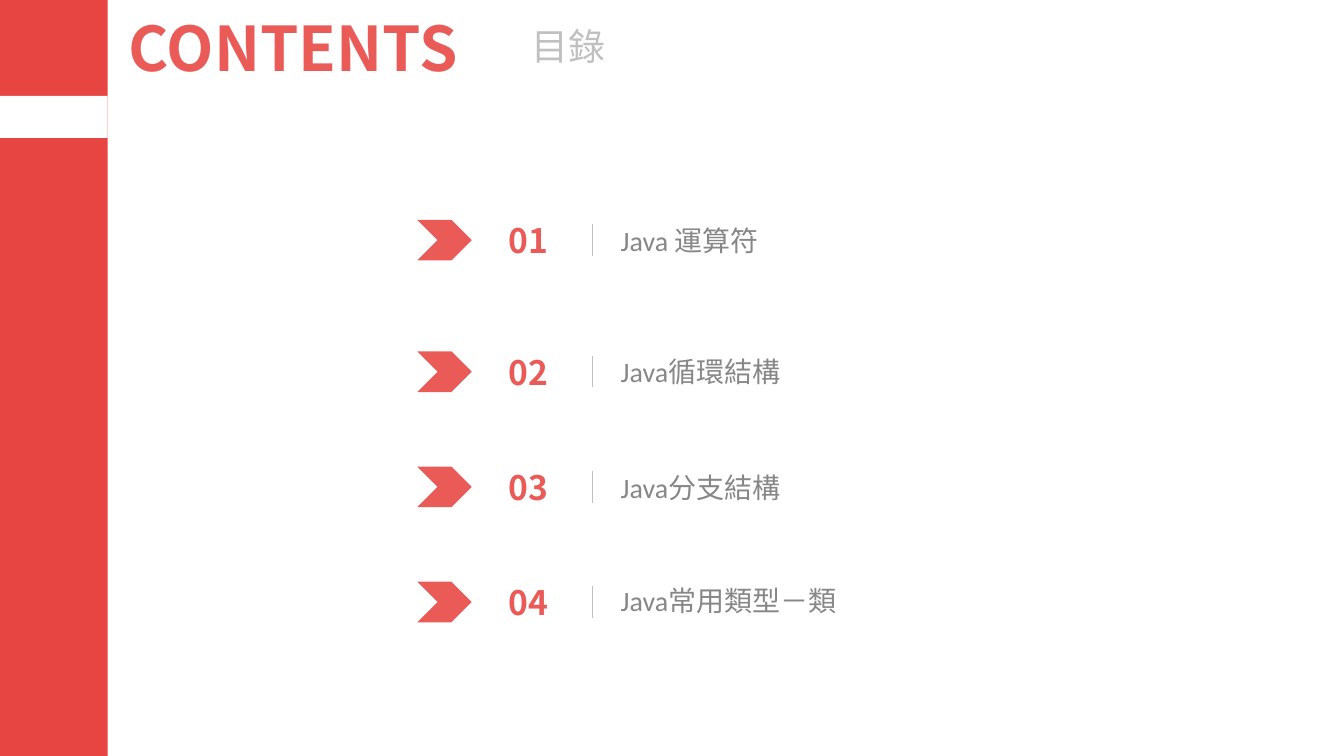
from lxml.etree import SubElement
from pptx import Presentation
from pptx.dml.color import RGBColor
from pptx.enum.shapes import MSO_CONNECTOR as Connector, MSO_SHAPE as Shape
from pptx.enum.text import MSO_ANCHOR as Anchor, PP_ALIGN as Align
from pptx.oxml.ns import qn
from pptx.util import Pt

COLORS = {"band": "E74541", "accent": "EA5B58", "white": "FFFFFF",
          "light": "C0C0C0", "body": "878787"}
CJK_FONT = "Noto Sans CJK SC"
TITLE = {"size": Pt(44), "bold": True, "name": CJK_FONT}
SUBTITLE = {"size": Pt(26.4), "name": CJK_FONT}
NUMBER = {"size": Pt(24), "bold": True, "name": CJK_FONT}
TOPIC = {"size": Pt(20), "name": "Calibri"}
TOPICS = [("Java 運算符", 1), ("Java循環結構", 1),
          ("Java分支結構", 1), ("Java常用類型－類", 0.9)]
FIRST_CENTER, SECOND_CENTER, ROW_STEP = 171.5, 265.5, 82.25
ROW_HEIGHT, CHEVRON_HEIGHT, DIVIDER_HEIGHT = 57, 29, 22.6


def color(key):
    """Return the named colour."""
    return RGBColor.from_string(COLORS[key])


def add_block(slide, kind, box, fill):
    """Add a plain filled shape."""
    shape = slide.shapes.add_shape(kind, *map(Pt, box))
    shape.shadow.inherit = False
    shape.fill.solid()
    shape.fill.fore_color.rgb = color(fill)
    shape.line.fill.background()
    return shape


def add_text(slide, text, box, font_format, ink, align=Align.LEFT, spacing=1):
    """Add one line of vertically centred text."""
    frame = slide.shapes.add_textbox(*map(Pt, box)).text_frame
    frame.word_wrap = True
    frame.vertical_anchor = Anchor.MIDDLE
    paragraph = frame.paragraphs[0]
    paragraph.alignment = align
    paragraph.line_spacing = spacing
    run = paragraph.add_run()
    run.text = text
    for name, value in font_format.items():
        setattr(run.font, name, value)
    run.font.color.rgb = color(ink)
    SubElement(run.font._element, qn("a:ea"), typeface=CJK_FONT)


def add_divider(slide, x, top, bottom):
    """Add a thin vertical line."""
    line = slide.shapes.add_connector(
        Connector.STRAIGHT, Pt(x), Pt(top), Pt(x), Pt(bottom))
    line.line.color.rgb = color("light")
    line.line.width = Pt(0.5)
    SubElement(line._element.spPr, qn("a:effectLst"))


def add_topic(slide, number, topic, center, spacing):
    """Add one row of the contents list."""
    top = center - ROW_HEIGHT / 2
    add_text(slide, f"{number:02}", (337, top, 80.6, ROW_HEIGHT),
             NUMBER, "accent", Align.CENTER)
    add_divider(slide, 423.2, center - DIVIDER_HEIGHT / 2, center + DIVIDER_HEIGHT / 2)
    add_text(slide, topic, (436.3, top, 421, ROW_HEIGHT), TOPIC, "body", spacing=spacing)
    add_block(slide, Shape.CHEVRON,
              (298.1, center - CHEVRON_HEIGHT / 2, 38.9, CHEVRON_HEIGHT), "accent")


def main():
    """Build and save the contents slide."""
    presentation = Presentation()
    presentation.slide_width, presentation.slide_height = Pt(960), Pt(540)
    slide = presentation.slides.add_slide(presentation.slide_layouts[6])
    add_block(slide, Shape.RECTANGLE, (0, 0, 77, 540), "band")
    add_block(slide, Shape.RECTANGLE, (0, 68.4, 77, 30.2), "white")
    add_text(slide, "CONTENTS", (85, 3.6, 351.4, 60.5), TITLE, "accent")
    add_text(slide, "目錄", (350, 12.2, 111.6, 41), SUBTITLE, "light", Align.CENTER)
    for index, (topic, spacing) in enumerate(TOPICS):
        center = SECOND_CENTER + (index - 1) * ROW_STEP if index else FIRST_CENTER
        add_topic(slide, index + 1, topic, center, spacing)
    presentation.save("out.pptx")


if __name__ == "__main__":
    main()
